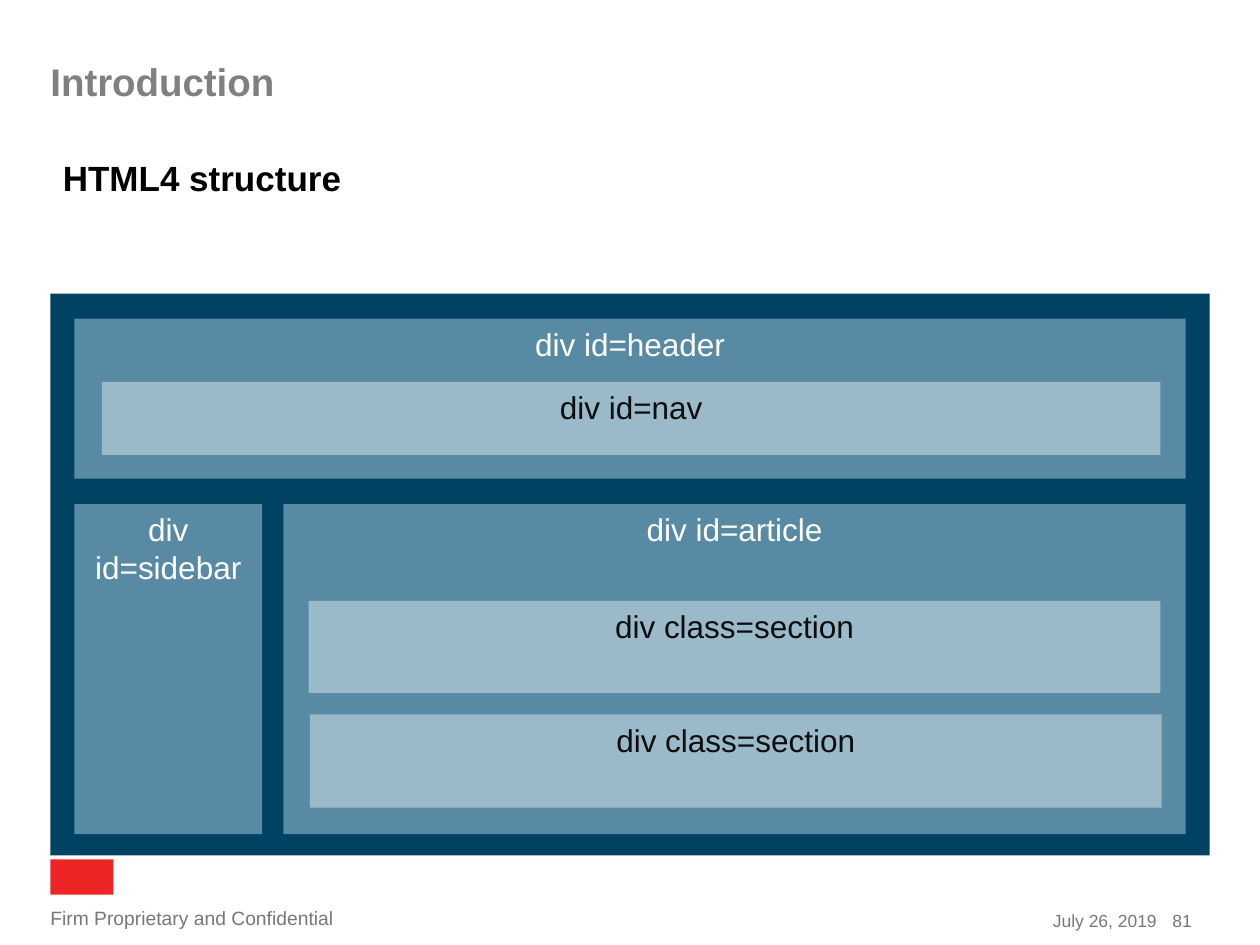
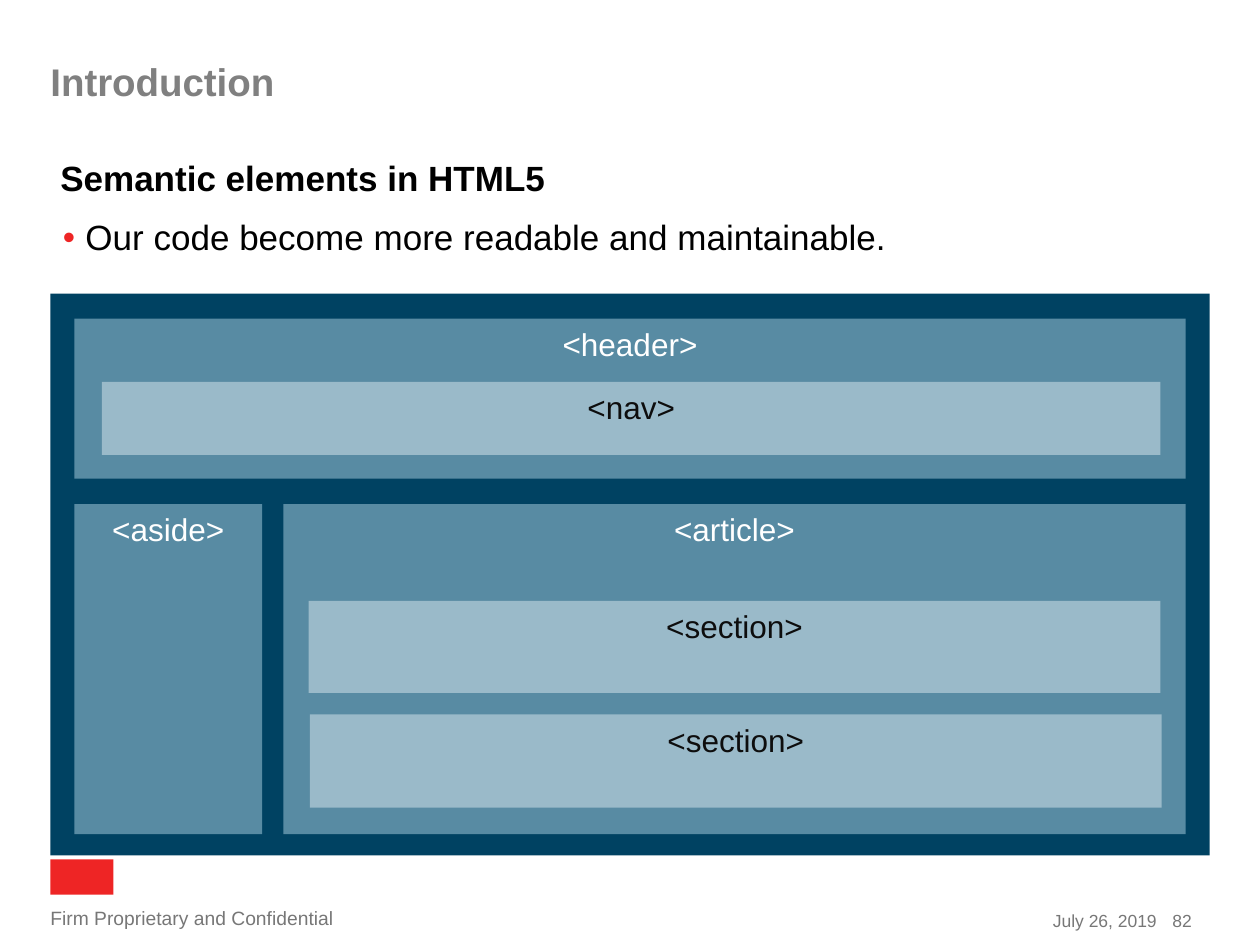
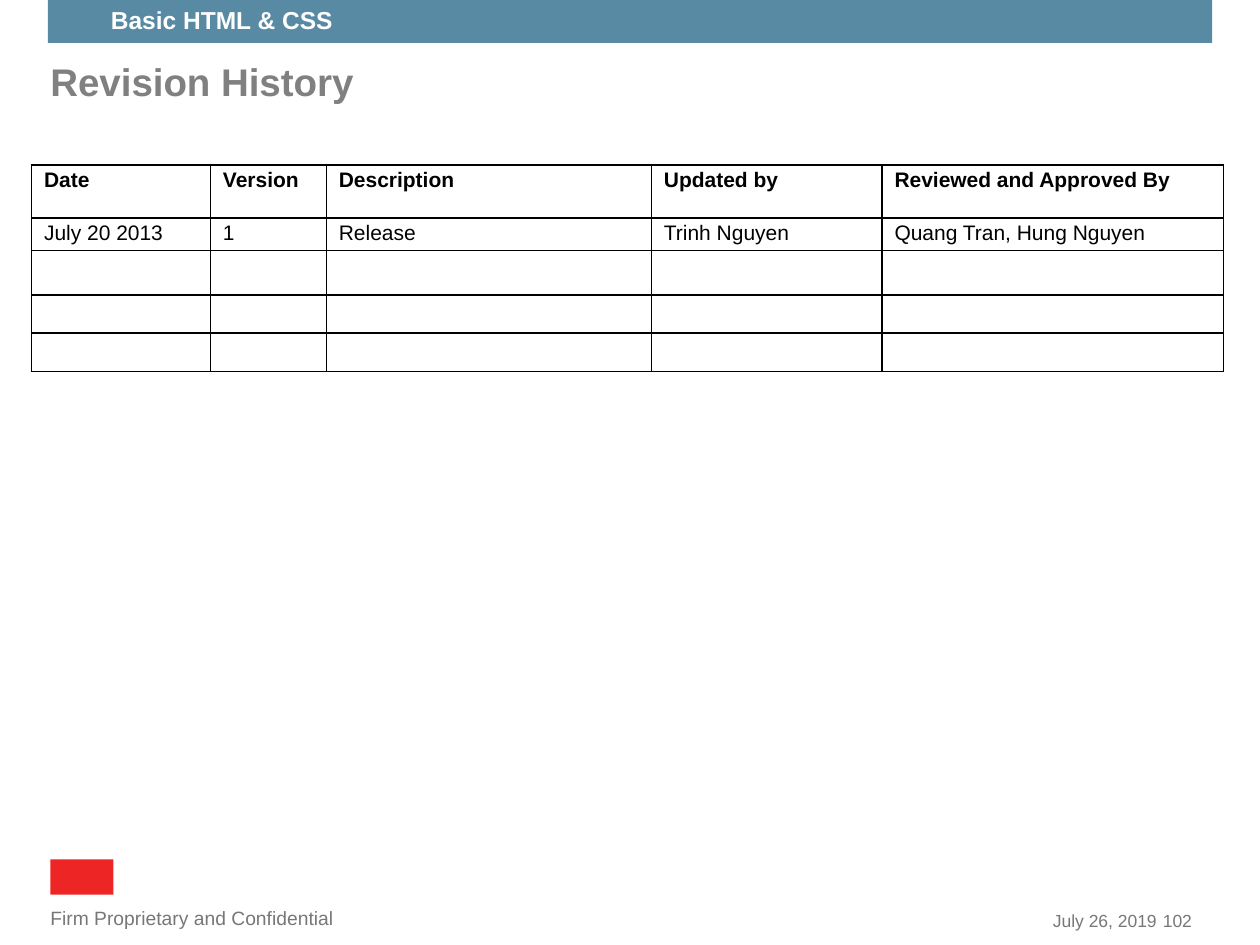
from lxml import etree
from pptx import Presentation
from pptx.dml.color import RGBColor
from pptx.enum.shapes import MSO_SHAPE
from pptx.enum.text import MSO_ANCHOR, MSO_AUTO_SIZE, PP_ALIGN
from pptx.oxml.ns import qn
from pptx.util import Inches, Pt

RECTANGLE = MSO_SHAPE.RECTANGLE
TOP, MIDDLE, BOTTOM = MSO_ANCHOR.TOP, MSO_ANCHOR.MIDDLE, MSO_ANCHOR.BOTTOM
LEFT, CENTER, RIGHT = PP_ALIGN.LEFT, PP_ALIGN.CENTER, PP_ALIGN.RIGHT
NO_AUTOFIT = MSO_AUTO_SIZE.NONE

COLORS = {
    "title": "808080", "text": "000000", "footer": "777777", "accent": "EE2525",
    "page": "004262", "block": "588BA3", "inner": "9ABAC9",
    "on_block": "FFFFFF", "on_inner": "0D0D0D",
}
FRAME_DEFAULTS = {"word_wrap": True, "auto_size": NO_AUTOFIT, "vertical_anchor": TOP}
NO_MARGINS = {f"margin_{side}": 0 for side in ("left", "top", "right", "bottom")}

# Left, top, width, height, fill and text colour of the layout blocks
BLOCKS = [
    (0.59, 2.53, 8.82, 1.27, "block", "on_block"),
    (0.81, 3.03, 8.4, 0.58, "inner", "on_inner"),
    (0.59, 4, 1.49, 2.62, "block", "on_block"),
    (2.25, 4, 7.16, 2.62, "block", "on_block"),
    (2.45, 4.77, 6.76, 0.73, "inner", "on_inner"),
    (2.46, 5.67, 6.76, 0.74, "inner", "on_inner"),
]
SLIDES = [
    {"title": "Introduction", "number": "81",
     "heading": "HTML4 structure", "heading_box": (0.4, 1.19, 2.43, 0.44),
     "labels": ["div id=header", "div id=nav", "div id=sidebar", "div id=article",
                "div class=section", "div class=section"]},
    {"title": "Introduction", "number": "82",
     "heading": "Semantic elements in HTML5", "heading_box": (0.38, 1.19, 4.08, 0.44),
     "bullet": "Our code become more readable and maintainable.",
     "labels": ["<header>", "<nav>", "<aside>", "<article>", "<section>", "<section>"]},
    {"title": "Revision History", "number": "102",
     "band": "Basic HTML & CSS",
     "rows": [["Date", "Version", "Description", "Updated by", "Reviewed and Approved By"],
              ["July 20 2013", "1", "Release", "Trinh Nguyen", "Quang Tran, Hung Nguyen"]]},
]
COLUMN_WIDTHS = [1.42, 0.92, 2.58, 1.83, 2.71]
ROW_HEIGHTS = [0.42, 0.26, 0.35, 0.29, 0.29]


def write_text(text_frame, text, size, color, bold=False, align=LEFT, spacing=1.0, **frame_format):
    """Fill a text frame with one formatted paragraph and return the paragraph."""
    for name, value in (FRAME_DEFAULTS | frame_format).items():
        setattr(text_frame, name, value)
    paragraph = text_frame.paragraphs[0]
    paragraph.alignment, paragraph.line_spacing = align, spacing
    run = paragraph.add_run()
    run.text = text
    for name, value in {"name": "Arial", "size": Pt(size), "bold": bold}.items():
        setattr(run.font, name, value)
    run.font.color.rgb = RGBColor.from_string(COLORS[color])
    return paragraph


def add_box(slide, position, fill):
    shape = slide.shapes.add_shape(RECTANGLE, *map(Inches, position))
    shape.shadow.inherit = False
    shape.fill.solid()
    shape.fill.fore_color.rgb = RGBColor.from_string(COLORS[fill])
    shape.line.fill.background()
    return shape


presentation = Presentation()
presentation.slide_width, presentation.slide_height = Inches(10), Inches(7.5)
title_only = presentation.slide_layouts[5]

for content in SLIDES:
    slide = presentation.slides.add_slide(title_only)

    # Title and footer
    title = slide.shapes.title
    title.left, title.top, title.width, title.height = map(Inches, (0.4, 0.5, 9.2, 0.86))
    write_text(title.text_frame, content["title"], 22, "title", bold=True, spacing=0.9, **NO_MARGINS)
    add_box(slide, (0.4, 6.82, 0.5, 0.28), "accent")
    for text, position, size, align, anchor in [
        ("Firm Proprietary and Confidential", (0.4, 7.19, 4.16, 0.18), 11, LEFT, MIDDLE),
        ("July 26, 2019", (7.18, 7.22, 2, 0.17), 10, RIGHT, BOTTOM),
        (content["number"], (9.2, 7.22, 0.26, 0.17), 10, RIGHT, BOTTOM),
    ]:
        footer = slide.shapes.add_textbox(*map(Inches, position))
        write_text(footer.text_frame, text, size, "footer", align=align,
                   vertical_anchor=anchor, **NO_MARGINS)

    if "bullet" in content:
        bullet_box = slide.shapes.add_textbox(*map(Inches, (0.4, 1.7, 8.95, 0.81)))
        paragraph = write_text(bullet_box.text_frame, content["bullet"], 20, "text", spacing=0.9)
        properties = paragraph._p.get_or_add_pPr()
        properties.set("marL", str(Inches(0.18)))
        properties.set("indent", str(Inches(-0.18)))
        bullet_color = etree.SubElement(properties, qn("a:buClr"))
        etree.SubElement(bullet_color, qn("a:srgbClr"), val=COLORS["accent"])
        etree.SubElement(properties, qn("a:buFont"), typeface="Arial")
        etree.SubElement(properties, qn("a:buChar"), char="•")

    if "heading" in content:
        heading = slide.shapes.add_textbox(*map(Inches, content["heading_box"]))
        write_text(heading.text_frame, content["heading"], 20, "text", bold=True, word_wrap=False)

    if "labels" in content:
        add_box(slide, (0.4, 2.33, 9.2, 4.46), "page")
        for label, (*position, fill, text_color) in zip(content["labels"], BLOCKS):
            block = add_box(slide, position, fill)
            write_text(block.text_frame, label, 18, text_color, align=CENTER)

    if "band" in content:
        band = add_box(slide, (0.38, 0, 9.24, 0.34), "block")
        write_text(band.text_frame, content["band"], 14, "on_block", bold=True, spacing=0.9,
                   vertical_anchor=MIDDLE, margin_left=Inches(0.5))

    if "rows" in content:
        table = slide.shapes.add_table(
            len(ROW_HEIGHTS), len(COLUMN_WIDTHS), Inches(0.25), Inches(1.31),
            Inches(sum(COLUMN_WIDTHS)), Inches(sum(ROW_HEIGHTS))).table
        table.first_row = table.horz_banding = False
        for column, width in zip(table.columns, COLUMN_WIDTHS):
            column.width = Inches(width)
        for row_index, height in enumerate(ROW_HEIGHTS):
            row = table.rows[row_index]
            row.height = Inches(height)
            for column_index, cell in enumerate(row.cells):
                if row_index < len(content["rows"]):
                    write_text(cell.text_frame, content["rows"][row_index][column_index], 12,
                               "text", bold=row_index == 0, spacing=0.85)
                else:
                    cell.text_frame.paragraphs[0]._p.get_or_add_endParaRPr().set("sz", "1200")
                cell_properties = cell._tc.get_or_add_tcPr()
                for edge in ("lnL", "lnR", "lnT", "lnB"):
                    border = etree.SubElement(cell_properties, qn(f"a:{edge}"), w=str(Pt(1)))
                    border_fill = etree.SubElement(border, qn("a:solidFill"))
                    etree.SubElement(border_fill, qn("a:srgbClr"), val=COLORS["text"])
                cell.fill.background()

presentation.save("out.pptx")
